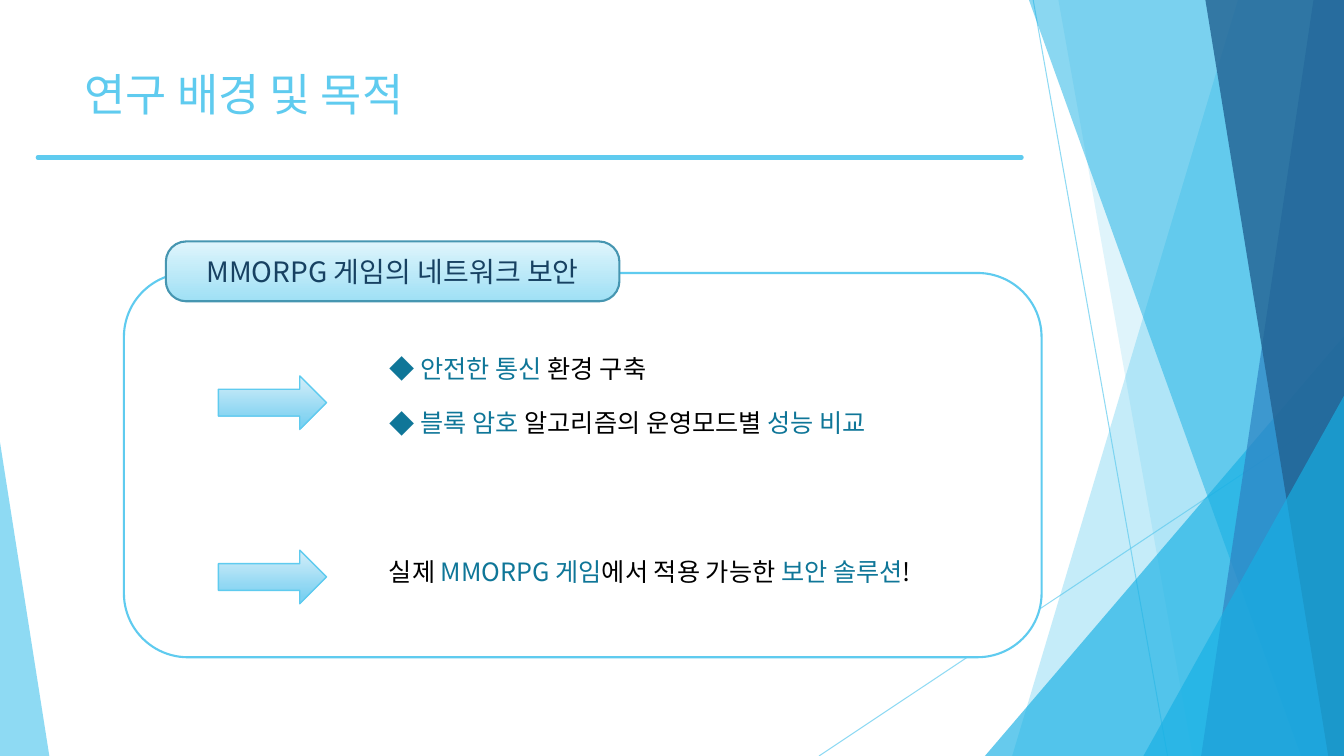
from typing import Any, NamedTuple

from lxml import etree
from pptx import Presentation
from pptx.dml.color import RGBColor
from pptx.enum.shapes import MSO_CONNECTOR, MSO_SHAPE
from pptx.enum.text import MSO_ANCHOR, MSO_AUTO_SIZE, PP_ALIGN
from pptx.oxml.ns import qn
from pptx.util import Pt

PX = 9525
WIDTH, HEIGHT = 1280, 720
FONT = "Noto Sans CJK KR"

SKY = RGBColor(0x5F, 0xCB, 0xEF)
CYAN = RGBColor(0x17, 0xB0, 0xE4)
BLUE = RGBColor(0x2E, 0x83, 0xC3)
NAVY = RGBColor(0x22, 0x62, 0x92)
TEAL = RGBColor(0x0F, 0x76, 0x98)
INK = RGBColor(0x17, 0x41, 0x62)
PILL_EDGE = RGBColor(0x46, 0x96, 0xB1)
PILL_TOP = RGBColor(0xDF, 0xF5, 0xFC)
PILL_BOTTOM = RGBColor(0x9F, 0xE0, 0xF5)
ARROW_TOP = RGBColor(0xD4, 0xEE, 0xF9)
ARROW_BOTTOM = RGBColor(0x7D, 0xD1, 0xF1)
BLACK = RGBColor(0, 0, 0)
WHITE = RGBColor(0xFF, 0xFF, 0xFF)

TRIANGLE = MSO_SHAPE.ISOSCELES_TRIANGLE
ROUNDED = MSO_SHAPE.ROUNDED_RECTANGLE
ARROW = MSO_SHAPE.RIGHT_ARROW
STRAIGHT = MSO_CONNECTOR.STRAIGHT
LEFT, CENTER = PP_ALIGN.LEFT, PP_ALIGN.CENTER
TOP, MIDDLE = MSO_ANCHOR.TOP, MSO_ANCHOR.MIDDLE
NO_FIT = MSO_AUTO_SIZE.NONE


class Box(NamedTuple):
    """A rectangle in px."""
    left: int
    top: int
    width: int
    height: int


class Band(NamedTuple):
    """A full-height facet running to the right edge of the slide."""
    top_x: int
    bottom_x: int
    color: RGBColor
    opacity: int


class Wedge(NamedTuple):
    """A right-angled triangle whose apex sits at one side."""
    box: Box
    apex: int
    color: RGBColor
    opacity: int


class Span(NamedTuple):
    """A piece of text in one colour."""
    text: str
    color: RGBColor


FACETS = [
    Band(1179, 964, SKY, 36),
    Band(1008, 1136, SKY, 20),
    Wedge(Box(938, 320, 342, 400), 1, CYAN, 66),
    Band(980, 1239, CYAN, 50),
    Band(1251, 1144, BLUE, 70),
    Band(1148, 1265, NAVY, 80),
    Wedge(Box(1089, 377, 191, 343), 1, CYAN, 66),
    Wedge(Box(0, 421, 47, 299), 0, SKY, 70),
]
RAYS = [(984, 0, 1112, 720), (1280, 387, 780, 720)]
ARROWS = [Box(208, top, 103, 51) for top in (358, 524)]
GOALS = [
    [Span("안전한 통신 ", TEAL), Span("환경 구축", BLACK)],
    [Span("블록 암호 ", TEAL), Span("알고리즘의 운영모드별 ", BLACK), Span("성능 비교", TEAL)],
]
RESULT = [
    Span("실제 ", BLACK), Span("MMORPG 게임", TEAL), Span("에서 적용 가능한 ", BLACK),
    Span("보안 솔루션", TEAL), Span("!", BLACK),
]


def assign(target: Any, values: dict[str, Any]) -> None:
    """Set each named attribute of the target."""
    for name, value in values.items():
        setattr(target, name, value)


def fade(shape: Any, opacity: int) -> None:
    """Give every colour of the shape an opacity in percent."""
    for color in list(shape.element.spPr.iter(qn("a:srgbClr"))):
        etree.SubElement(color, qn("a:alpha"), val=str(opacity * 1000))


def add_line(s: Any, ends: tuple[int, int, int, int], width: float) -> Any:
    """Draw a sky-coloured straight line."""
    line = s.shapes.add_connector(STRAIGHT, *(end * PX for end in ends))
    line.line.color.rgb = SKY
    line.line.width = Pt(width)
    etree.SubElement(line.element.spPr, qn("a:effectLst"))
    return line


def add_facet(s: Any, facet: Band | Wedge) -> None:
    """Draw one translucent facet of the backdrop."""
    if isinstance(facet, Band):
        builder = s.shapes.build_freeform(facet.top_x, 0, scale=PX)
        builder.add_line_segments([(WIDTH, 0), (WIDTH, HEIGHT), (facet.bottom_x, HEIGHT)])
        sp = builder.convert_to_shape()
    else:
        sp = s.shapes.add_shape(TRIANGLE, *(side * PX for side in facet.box))
        sp.adjustments[0] = facet.apex
    sp.shadow.inherit = False
    sp.fill.solid()
    sp.fill.fore_color.rgb = facet.color
    sp.line.fill.background()
    fade(sp, facet.opacity)


def add_outlined(s: Any, kind: Any, box: Box, stops: list[tuple[float, RGBColor]],
                 edge: RGBColor, width: float) -> Any:
    """Draw an outlined shape with a plain or a downward gradient fill."""
    sp = s.shapes.add_shape(kind, *(side * PX for side in box))
    sp.shadow.inherit = False
    if len(stops) == 1:
        sp.fill.solid()
        sp.fill.fore_color.rgb = stops[0][1]
    else:
        sp.fill.gradient()
        sp.fill.gradient_angle = 270
        for stop, (position, color) in zip(sp.fill.gradient_stops, stops):
            stop.position = position
            stop.color.rgb = color
    sp.line.color.rgb = edge
    sp.line.width = Pt(width)
    return sp


def write(sp: Any, lines: list[list[Span]], size: int, align: Any = LEFT,
          anchor: Any = TOP, bullet: str = "") -> None:
    """Fill a shape with coloured paragraphs."""
    tf = sp.text_frame
    assign(tf, {"word_wrap": True, "auto_size": NO_FIT, "vertical_anchor": anchor,
                "margin_top": 0, "margin_bottom": 0})
    for i, spans in enumerate(lines):
        p = tf.paragraphs[0] if i == 0 else tf.add_paragraph()
        if bullet:
            props = p._p.get_or_add_pPr()
            props.set("marL", str(30 * PX))
            props.set("indent", str(-30 * PX))
            etree.SubElement(props, qn("a:buFont"), typeface=FONT)
            etree.SubElement(props, qn("a:buChar"), char=bullet)
        assign(p, {"alignment": align, "space_before": Pt(17.5 if i else 0)})
        for span in spans:
            r = p.add_run()
            r.text = span.text
            assign(r.font, {"size": Pt(size), "name": FONT})
            r.font.color.rgb = span.color
            etree.SubElement(r.font._element, qn("a:ea"), typeface=FONT)


def place(s: Any, sp: Any, box: Box) -> Any:
    """Move a placeholder to a box and bring it to the front."""
    sides = (side * PX for side in box)
    assign(sp, dict(zip(("left", "top", "width", "height"), sides)))
    s.shapes.element.append(sp.element)
    return sp


def main() -> None:
    """Build the slide and save it."""
    prs = Presentation()
    assign(prs, {"slide_width": WIDTH * PX, "slide_height": HEIGHT * PX})
    s = prs.slides.add_slide(prs.slide_layouts[1])
    title, goals = s.placeholders

    for ray in RAYS:
        fade(add_line(s, ray, 0.75), 70)
    for facet in FACETS:
        add_facet(s, facet)

    write(place(s, title, Box(71, 64, 902, 70)), [[Span("연구 배경 및 목적", SKY)]], 32)
    add_outlined(s, ROUNDED, Box(118, 260, 874, 366), [(0, WHITE)], SKY, 1.5)
    for box in ARROWS:
        add_outlined(s, ARROW, box, [(0, ARROW_TOP), (0.88, ARROW_BOTTOM)], SKY, 1)
    write(place(s, goals, Box(361, 336, 640, 97)), GOALS, 18, bullet="◆")
    result = s.shapes.add_textbox(*(side * PX for side in Box(361, 530, 640, 38)))
    write(result, [RESULT], 18)

    pill = add_outlined(s, ROUNDED, Box(158, 230, 432, 57),
                        [(0, PILL_TOP), (1, PILL_BOTTOM)], PILL_EDGE, 1.5)
    pill.adjustments[0] = 0.34
    write(pill, [[Span("MMORPG 게임의 네트워크 보안", INK)]], 20, CENTER, MIDDLE)

    rule = add_line(s, (36, 150, 973, 150), 3)
    rule.element.spPr.find(qn("a:ln")).set("cap", "rnd")
    prs.save("out.pptx")


if __name__ == "__main__":
    main()
